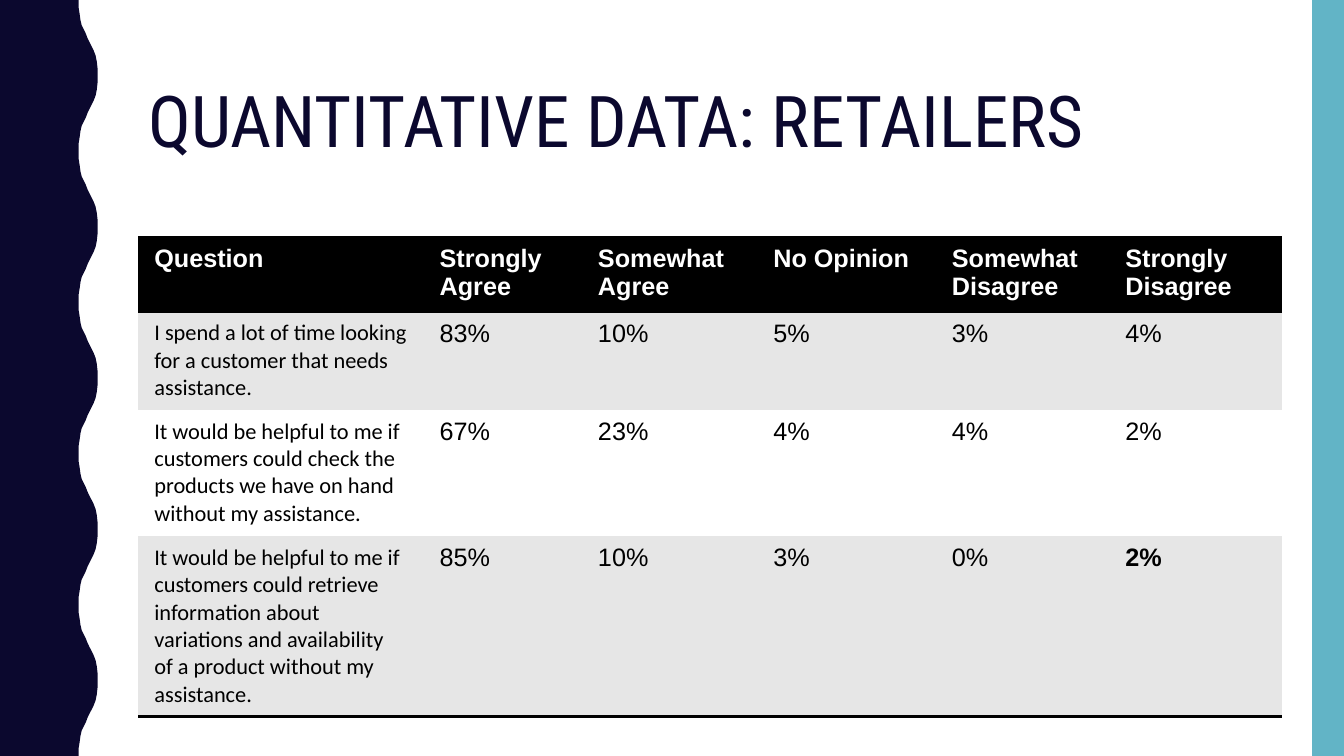
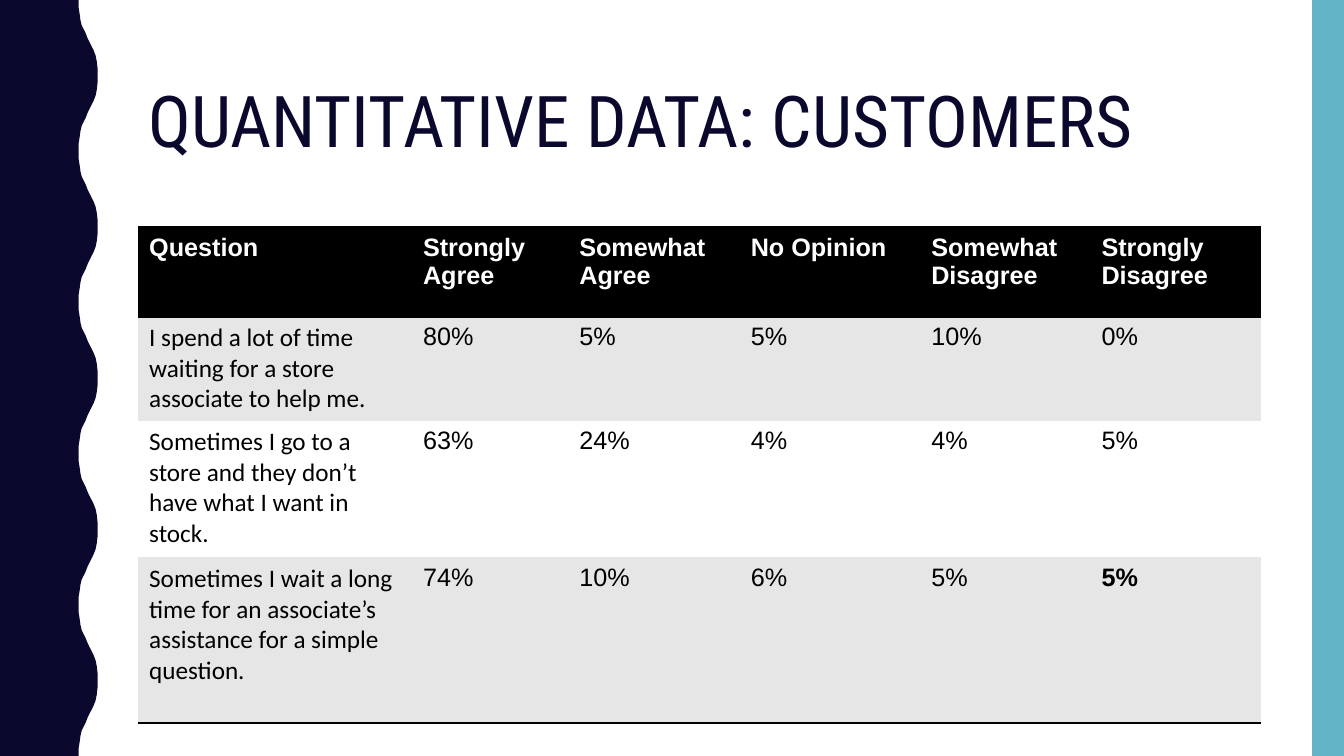
from lxml import etree
from pptx import Presentation
from pptx.dml.color import RGBColor
from pptx.enum.shapes import MSO_SHAPE
from pptx.enum.text import MSO_ANCHOR, MSO_AUTO_SIZE, PP_ALIGN
from pptx.oxml.ns import qn
from pptx.util import Cm, Pt

RECT = MSO_SHAPE.RECTANGLE
MIDDLE, TOP = MSO_ANCHOR.MIDDLE, MSO_ANCHOR.TOP
LEFT, FIXED = PP_ALIGN.LEFT, MSO_AUTO_SIZE.NONE

WIDE, HIGH = 33.87, 19.05
NAVY, TEAL = "0B082E", "62B4C6"
BLACK, WHITE, GREY = "000000", "FFFFFF", "E6E6E6"
HEAD, SANS, BODY = "Roboto Condensed", "Arial", "Calibri"
PLAIN = "{2D5ABB26-0587-4C30-8999-92F81FD0307C}"

TITLE = (3.48, 1.07, 28.27, 4.14)
EDGE, WAVE, COUNT = 1.98, 3.81, 5
RISE = [(0, 0.18), (0.03, 0.36), (0.05, 0.51), (0.08, 0.64), (0.13, 0.74),
        (0.18, 0.84), (0.23, 0.97), (0.28, 1.07), (0.33, 1.17), (0.38, 1.27),
        (0.43, 1.4), (0.46, 1.55), (0.48, 1.73), (0.48, 1.9)]

LABELS = ["Question", "Strongly Agree", "Somewhat Agree", "No Opinion",
          "Somewhat Disagree", "Strongly Disagree"]

SLIDES = [
    {
        "title": "QUANTITATIVE DATA: RETAILERS",
        "spot": (3.48, 5.97),
        "cols": [7.19, 3.99, 4.42, 4.5, 4.37, 4.37],
        "rows": [1.88, 2.48, 3.18, 4.55],
        "pad": (0.41, 0.2),
        "size": 16,
        "data": [
            ["I spend a lot of time looking for a customer that needs assistance.",
             "83%", "10%", "5%", "3%", "4%"],
            ["It would be helpful to me if customers could check the products "
             "we have on hand without my assistance.",
             "67%", "23%", "4%", "4%", "2%"],
            ["It would be helpful to me if customers could retrieve information "
             "about variations and availability of a product without my assistance.",
             "85%", "10%", "3%", "0%", "2%"],
        ],
    },
    {
        "title": "QUANTITATIVE DATA: CUSTOMERS",
        "spot": (3.48, 5.73),
        "cols": [6.9, 3.94, 4.32, 4.55, 4.29, 4.29],
        "rows": [2.24, 2.57, 3.45, 4.17],
        "pad": (0.28, 0.15),
        "size": 18,
        "data": [
            ["I spend a lot of time waiting for a store associate to help me.",
             "80%", "5%", "5%", "10%", "0%"],
            ["Sometimes I go to a store and they don’t have what I want in stock.",
             "63%", "24%", "4%", "4%", "5%"],
            ["Sometimes I wait a long time for an associate’s assistance "
             "for a simple question.",
             "74%", "10%", "6%", "5%", "5%"],
        ],
    },
]


def paint(fill, color):
    """Make a fill solid in a hex colour."""
    fill.solid()
    fill.fore_color.rgb = RGBColor.from_string(color)


def style(para, name, size, color, bold=False):
    """Set the font of a paragraph."""
    font = para.font
    font.name, font.size, font.bold = name, Pt(size), bold
    paint(font.fill, color)


def flat(shape, color):
    """Give a shape a plain fill with no line or shadow."""
    paint(shape.fill, color)
    shape.line.fill.background()
    shape.shadow.inherit = False


def rule(cell, side):
    """Draw a black border along one side of a cell."""
    line = etree.Element(qn("a:" + side), w=str(Pt(2)))
    fill = etree.SubElement(line, qn("a:solidFill"))
    etree.SubElement(fill, qn("a:srgbClr"), val=BLACK)
    cell._tc.get_or_add_tcPr().insert(0, line)


def bands(slide, wide, high):
    """Draw the wavy left band and the straight right band."""
    fall = [(x, WAVE - y) for x, y in reversed(RISE[:-1])]
    curve = RISE + fall + [(0, WAVE)]
    points = [(EDGE, 0)]
    points += [(EDGE + x, WAVE * i + y) for i in range(COUNT) for x, y in curve]
    points.append((0, high))
    path = slide.shapes.build_freeform(0, 0)
    path.add_line_segments([(Cm(x), Cm(y)) for x, y in points])
    flat(path.convert_to_shape(), NAVY)
    bar = 0.8
    flat(slide.shapes.add_shape(RECT, Cm(wide - bar), 0, Cm(bar), Cm(high)), TEAL)


def heading(slide, text, box):
    """Place and format the slide title."""
    title = slide.shapes.title
    title.left, title.top, title.width, title.height = map(Cm, box)
    frame = title.text_frame
    frame.text = text
    frame.word_wrap, frame.auto_size = True, FIXED
    frame.vertical_anchor = MIDDLE
    para = frame.paragraphs[0]
    para.alignment, para.line_spacing = LEFT, 0.9
    style(para, HEAD, 51, NAVY)


def survey(slide, spot, cols, rows, data, pad, size):
    """Build the table of answers at the given spot."""
    box = (*spot, sum(cols), sum(rows))
    frame = slide.shapes.add_table(len(rows), len(cols), *map(Cm, box))
    table = frame.table
    table.horz_banding = False
    next(frame.element.iter(qn("a:tableStyleId"))).text = PLAIN
    for col, wide in zip(table.columns, cols):
        col.width = Cm(wide)
    for row, high in zip(table.rows, rows):
        row.height = Cm(high)
    last = len(rows) - 1
    for r, line in enumerate([LABELS] + data):
        for c, text in enumerate(line):
            cell = table.cell(r, c)
            cell.text = text
            cell.vertical_anchor = TOP
            cell.margin_left = cell.margin_right = Cm(pad[0])
            cell.margin_top = cell.margin_bottom = Cm(pad[1])
            para = cell.text_frame.paragraphs[0]
            if r == 0:
                paint(cell.fill, BLACK)
                style(para, SANS, 18, WHITE, True)
            else:
                paint(cell.fill, GREY if r % 2 else WHITE)
                name, points = (SANS, 18) if c else (BODY, size)
                corner = r == last and c == len(cols) - 1
                style(para, name, points, BLACK, corner)
            if r in (0, last):
                rule(cell, "lnB")
            if r == 0:
                rule(cell, "lnT")


def page(deck, item):
    """Add one survey slide."""
    slide = deck.slides.add_slide(deck.slide_layouts[5])
    bands(slide, WIDE, HIGH)
    heading(slide, item["title"], TITLE)
    survey(slide, item["spot"], item["cols"], item["rows"], item["data"],
           item["pad"], item["size"])


def main():
    """Build and save the deck."""
    deck = Presentation()
    deck.slide_width, deck.slide_height = Cm(WIDE), Cm(HIGH)
    for item in SLIDES:
        page(deck, item)
    deck.save("out.pptx")


if __name__ == "__main__":
    main()
